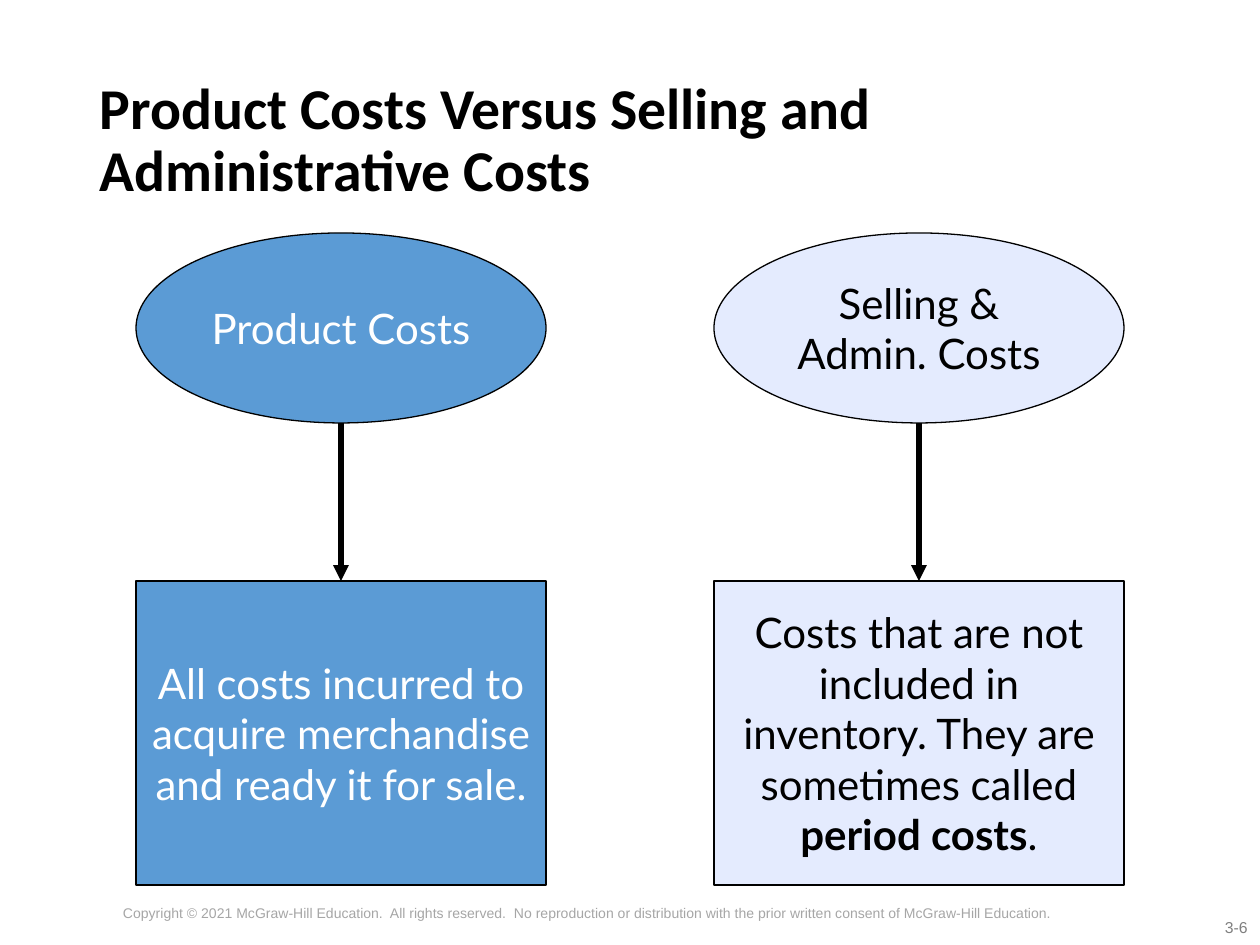
from dataclasses import dataclass

from lxml import etree
from pptx import Presentation
from pptx import util as u
from pptx.dml.color import RGBColor
from pptx.enum import shapes, text
from pptx.oxml.ns import qn

PX = 914400 // 126  # EMU per px
BLACK, WHITE = "000000", "FFFFFF"


def px(*lengths: int) -> list[u.Emu]:
    return [u.Emu(length * PX) for length in lengths]


def color(value: str) -> RGBColor:
    return RGBColor.from_string(value)


@dataclass
class CostType:
    left: int
    fill: str
    ink: str
    name: str
    definition: list[tuple[str, bool]]  # (words, bold)


@dataclass
class Footer:
    box: tuple[int, int, int, int]
    words: str
    size: int
    ink: str
    align: text.PP_ALIGN


COST_TYPES = [
    CostType(136, "5B9BD5", WHITE, "Product Costs",
             [("All costs incurred to acquire merchandise and ready it for sale.", False)]),
    CostType(714, "E4EBFE", BLACK, "Selling & Admin. Costs",
             [("Costs that are not included in inventory. They are sometimes called ", False),
              ("period costs", True), (".", False)]),
]
FOOTERS = [
    Footer((1108, 912, 152, 32), "3-6", 9, "808080", text.PP_ALIGN.RIGHT),
    Footer((0, 898, 1176, 47),
           "Copyright © 2021 McGraw-Hill Education.  All rights reserved.  No reproduction "
           "or distribution with the prior written consent of McGraw-Hill Education.",
           8, "A6A6A6", text.PP_ALIGN.CENTER),
]
# Shared rows of both columns
COLUMN_WIDTH = 410
NAME_TOP, NAME_HEIGHT = 233, 190
DEFINITION_TOP, DEFINITION_HEIGHT = 581, 304


def style_font(font: text, face: str, size: int, ink: str, bold: bool = False) -> None:
    font.name, font.size, font.bold = face, u.Pt(size), bold
    font.color.rgb = color(ink)


def add_footer(slide, footer: Footer) -> None:
    frame = slide.shapes.add_textbox(*px(*footer.box)).text_frame
    frame.word_wrap = True
    frame.text = footer.words
    line = frame.paragraphs[0]
    line.alignment = footer.align
    style_font(line.runs[0].font, "Arial", footer.size, footer.ink)


def add_node(group, preset, top: int, height: int, cost: CostType,
             runs: list[tuple[str, bool]]):
    node = group.shapes.add_shape(preset, *px(cost.left, top, COLUMN_WIDTH, height))
    node.shadow.inherit = False
    node.fill.solid()
    node.fill.fore_color.rgb = color(cost.fill)
    node.line.color.rgb = color(BLACK)
    node.line.width = u.Pt(0.75)
    frame = node.text_frame
    frame.word_wrap = True
    frame.vertical_anchor = text.MSO_ANCHOR.MIDDLE
    paragraph = frame.paragraphs[0]
    paragraph.alignment = text.PP_ALIGN.CENTER
    for words, bold in runs:
        run = paragraph.add_run()
        run.text = words
        style_font(run.font, "Lato", 24, cost.ink, bold)
    return node


def add_arrow(group, cost: CostType, definition) -> None:
    center = cost.left + COLUMN_WIDTH // 2
    arrow = group.shapes.add_connector(
        shapes.MSO_CONNECTOR.STRAIGHT,
        *px(center, NAME_TOP + NAME_HEIGHT, center, DEFINITION_TOP))
    arrow.end_connect(definition, 0)
    arrow.line.color.rgb = color(BLACK)
    arrow.line.width = u.Pt(3)
    properties = arrow.line._get_or_add_ln()
    etree.SubElement(properties, qn("a:tailEnd"), type="triangle")
    etree.SubElement(properties.getparent(), qn("a:effectLst"))


def add_cost_type(slide, cost: CostType) -> None:
    group = slide.shapes.add_group_shape()
    add_node(group, shapes.MSO_SHAPE.OVAL, NAME_TOP, NAME_HEIGHT, cost,
             [(cost.name, False)])
    definition = add_node(group, shapes.MSO_SHAPE.RECTANGLE, DEFINITION_TOP,
                          DEFINITION_HEIGHT, cost, cost.definition)
    add_arrow(group, cost, definition)


def add_title(slide, words: str) -> None:
    title = slide.shapes.title
    title.left, title.top, title.width, title.height = px(87, 50, 1086, 183)
    frame = title.text_frame
    frame.text = words
    frame.word_wrap = True
    frame.auto_size = text.MSO_AUTO_SIZE.NONE
    frame.vertical_anchor = text.MSO_ANCHOR.MIDDLE
    heading = frame.paragraphs[0]
    heading.alignment = text.PP_ALIGN.LEFT
    heading.line_spacing = 0.9
    style_font(heading.runs[0].font, "Calibri", 33, BLACK, True)


def main() -> None:
    deck = Presentation()
    deck.slide_width, deck.slide_height = u.Inches(10), u.Inches(7.5)
    slide = deck.slides.add_slide(deck.slide_layouts[5])  # title only

    # Page number and copyright line
    for footer in FOOTERS:
        add_footer(slide, footer)

    add_title(slide, "Product Costs Versus Selling and Administrative Costs")

    # One column per cost type: name, arrow, definition
    for cost in COST_TYPES:
        add_cost_type(slide, cost)

    deck.save("out.pptx")


if __name__ == "__main__":
    main()
